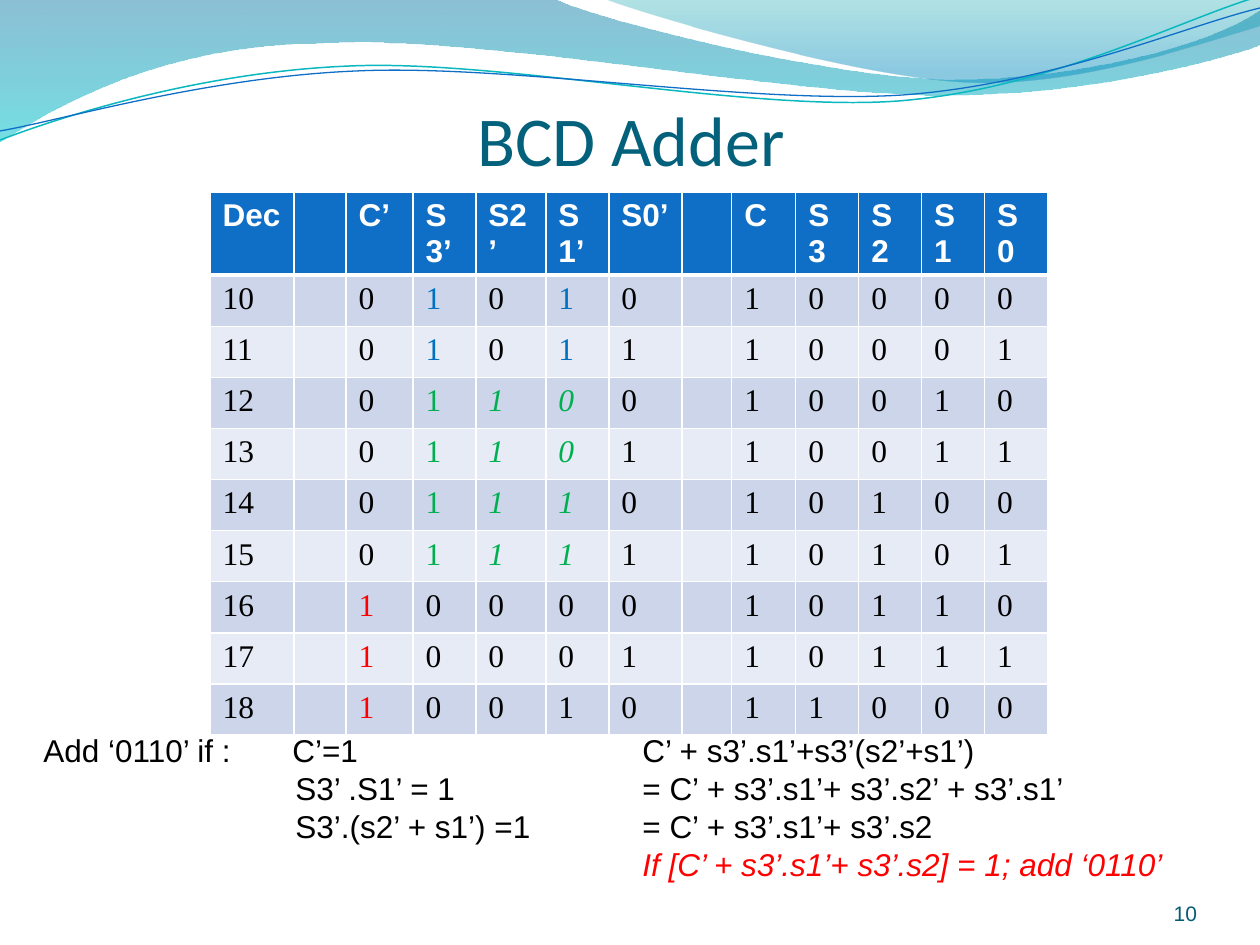
"""Build the BCD Adder slide: wave header, truth table and correction rule."""
from dataclasses import dataclass

from lxml.etree import SubElement
from pptx import Presentation
from pptx.dml.color import RGBColor
from pptx.enum.text import MSO_ANCHOR as Anchor, PP_ALIGN as Align
from pptx.oxml.ns import qn
from pptx.util import Pt

PX = 914400 // 126


@dataclass(frozen=True)
class Theme:
    title: str = "04617B"
    number: str = "045D75"
    header: str = "0F6FC6"
    bands: tuple = ("CCD5EA", "E7EBF5")
    white: str = "FFFFFF"
    black: str = "000000"
    blue: str = "0070C0"
    green: str = "00B050"
    red: str = "FF0000"
    title_size: int = 40
    body_size: int = 18
    number_size: int = 12
    title_font: str = "Calibri"
    body_font: str = "Arial"
    digit_font: str = "Times New Roman"


THEME = Theme()

WAVES = [
    ([(0, -1), (554, -1),
      (600, 21, 837, 79, 955, 79), (1075, 79, 1207, 47, 1260, 11), (1261, 45),
      (1235, 55, 1096, 96, 940, 95), (784, 95, 481, 35, 324, 43), (163, 44, 58, 105, -1, 142)],
     [("0074A1", 45, 0), ("00C6CF", 55, 1)]),
    ([(604, -1), (641, 14, 859, 78, 969, 82), (1079, 87, 1211, 40, 1260, 26), (1260, 0)],
     [("00A1A9", 30, 0), ("008BBF", 45, 0.8)]),
]
RIPPLES = [
    ([(0, 140), (60, 117, 199, 72, 349, 66), (498, 59, 747, 112, 898, 101),
      (1050, 89, 1182, 19, 1257, -3)], "0AB8BF", 0.85),
    ([(0, 131), (59, 121, 207, 77, 357, 71), (508, 64, 752, 105, 903, 95),
      (1053, 84, 1185, 26, 1260, 8)], "0F6FC6", 0.75),
]

HEADERS = ["Dec", "", "C’", "S3’", "S2’", "S1’", "S0’", "", "C", "S3", "S2", "S1", "S0"]
COLUMN_WIDTHS = [84, 52, 67, 63, 70, 63, 73, 50, 64, 63, 63, 63, 63]
ROW_HEIGHT = 51
SUMS = [
    ("10", "01010", "10000"), ("11", "01011", "10001"), ("12", "01100", "10010"),
    ("13", "01101", "10011"), ("14", "01110", "10100"), ("15", "01111", "10101"),
    ("16", "10000", "10110"), ("17", "10001", "10111"), ("18", "10010", "11000"),
]
HIGHLIGHTS = [
    (("10", "11"), ("S3’", "S1’"), THEME.blue),
    (("12", "13", "14", "15"), ("S3’", "S2’", "S1’"), THEME.green),
    (("16", "17", "18"), ("C’",), THEME.red),
]

CONDITIONS = [
    ("Add ‘0110’ if :\tC’=1", 249),
    ("\tS3’ .S1’ = 1", 252),
    ("\tS3’.(s2’ + s1’) =1", 252),
]
DERIVATION = [
    "C’ + s3’.s1’+s3’(s2’+s1’)",
    "= C’ + s3’.s1’+ s3’.s2’ + s3’.s1’",
    "= C’ + s3’.s1’+ s3’.s2",
    "If [C’ + s3’.s1’+ s3’.s2] = 1; add ‘0110’",
]


def rgb(color):
    return RGBColor.from_string(color)


def style(paragraph, font, size, color, bold=False, italic=False):
    for run in paragraph.runs:
        run.font.name, run.font.size = font, Pt(size)
        run.font.color.rgb = rgb(color)
        run.font.bold, run.font.italic = bold, italic


def add_outline(slide, steps, close):
    points = [step[i:i + 2] for step in steps for i in range(0, len(step), 2)]
    builder = slide.shapes.build_freeform(*points[0], scale=PX)
    builder.add_line_segments(points[1:], close=close)
    shape = builder.convert_to_shape()
    shape.shadow.inherit = False
    segments = iter(list(shape._element.iter(qn("a:lnTo"))))
    for step in steps[1:]:
        segment = next(segments)
        if len(step) == 6:
            curve = SubElement(segment.getparent(), qn("a:cubicBezTo"))
            segment.addprevious(curve)
            for part in (segment, next(segments), next(segments)):
                curve.append(part[0])
                part.getparent().remove(part)
    return shape


def add_waves(slide):
    for steps, stops in WAVES:
        shape = add_outline(slide, steps, True)
        shape.line.fill.background()
        shape.fill.gradient()
        shape.fill.gradient_angle = 270
        for stop, (color, opacity, position) in zip(shape.fill.gradient_stops, stops):
            stop.color.rgb = rgb(color)
            stop.position = position
        colors = shape._element.spPr.iter(qn("a:srgbClr"))
        for element, (_, opacity, _) in zip(colors, stops):
            SubElement(element, qn("a:alpha"), val=str(opacity * 1000))
    for steps, color, width in RIPPLES:
        shape = add_outline(slide, steps, False)
        shape.fill.background()
        shape.line.color.rgb, shape.line.width = rgb(color), Pt(width)


def add_title(slide, text):
    title = slide.shapes.title
    slide.shapes._spTree.append(title._element)
    title.left, title.top, title.width, title.height = (n * PX for n in (94, 42, 1074, 139))
    frame = title.text_frame
    frame.text = text
    frame.vertical_anchor = Anchor.BOTTOM
    frame.margin_left = frame.margin_right = frame.margin_bottom = 0
    frame.paragraphs[0].alignment = Align.CENTER
    style(frame.paragraphs[0], THEME.title_font, THEME.title_size, THEME.title)


def set_borders(cell, top, bottom):
    properties = cell._tc.get_or_add_tcPr()
    for side, width in (("L", 1), ("R", 1), ("T", top), ("B", bottom)):
        line = SubElement(properties, qn(f"a:ln{side}"), w=str(Pt(width)))
        SubElement(SubElement(line, qn("a:solidFill")), qn("a:srgbClr"), val=THEME.white)


def add_truth_table(slide):
    rows = [HEADERS] + [[dec, "", *binary, "", *bcd] for dec, binary, bcd in SUMS]
    size = (sum(COLUMN_WIDTHS), ROW_HEIGHT * len(rows))
    table = slide.shapes.add_table(len(rows), len(HEADERS), 210 * PX, 192 * PX,
                                   *(n * PX for n in size)).table
    for column, width in zip(table.columns, COLUMN_WIDTHS):
        column.width = width * PX
    marks = {(dec, name): color for decs, names, color in HIGHLIGHTS
             for dec in decs for name in names}
    for r, row in enumerate(rows):
        table.rows[r].height = ROW_HEIGHT * PX
        for c, text in enumerate(row):
            cell = table.cell(r, c)
            set_borders(cell, 3 if r == 1 else 1, 3 if r == 0 else 1)
            cell.fill.solid()
            cell.fill.fore_color.rgb = rgb(THEME.bands[(r - 1) % 2] if r else THEME.header)
            cell.text_frame.text = text
            paragraph = cell.text_frame.paragraphs[0]
            if r == 0:
                style(paragraph, THEME.body_font, THEME.body_size, THEME.white, bold=True)
                continue
            color = marks.get((row[0], HEADERS[c]), THEME.black)
            italic = color == THEME.green and HEADERS[c] != "S3’"
            style(paragraph, THEME.digit_font, THEME.body_size, color, italic=italic)


def add_lines(slide, box, lines):
    frame = slide.shapes.add_textbox(*(n * PX for n in box)).text_frame
    frame.word_wrap = True
    frame.text = "\n".join(lines)
    for paragraph in frame.paragraphs:
        style(paragraph, THEME.body_font, THEME.body_size, THEME.black)
    return frame


def main():
    presentation = Presentation()
    presentation.slide_width, presentation.slide_height = 1260 * PX, 945 * PX
    slide = presentation.slides.add_slide(presentation.slide_layouts[5])
    add_waves(slide)

    number = add_lines(slide, (1092, 876, 105, 50), ["10"])
    number.margin_left = number.margin_right = number.margin_top = number.margin_bottom = 0
    number.vertical_anchor = Anchor.BOTTOM
    number.paragraphs[0].alignment = Align.RIGHT
    style(number.paragraphs[0], THEME.body_font, THEME.number_size, THEME.number)

    add_title(slide, "BCD Adder")
    add_truth_table(slide)

    conditions = add_lines(slide, (31, 725, 518, 165), [text for text, _ in CONDITIONS])
    for paragraph, (_, stop) in zip(conditions.paragraphs, CONDITIONS):
        tabs = SubElement(paragraph._p.get_or_add_pPr(), qn("a:tabLst"))
        SubElement(tabs, qn("a:tab"), pos=str(stop * PX), algn="l")
    derivation = add_lines(slide, (630, 725, 551, 204), DERIVATION)
    style(derivation.paragraphs[-1], THEME.body_font, THEME.body_size, THEME.red, italic=True)
    presentation.save("out.pptx")


if __name__ == "__main__":
    main()
